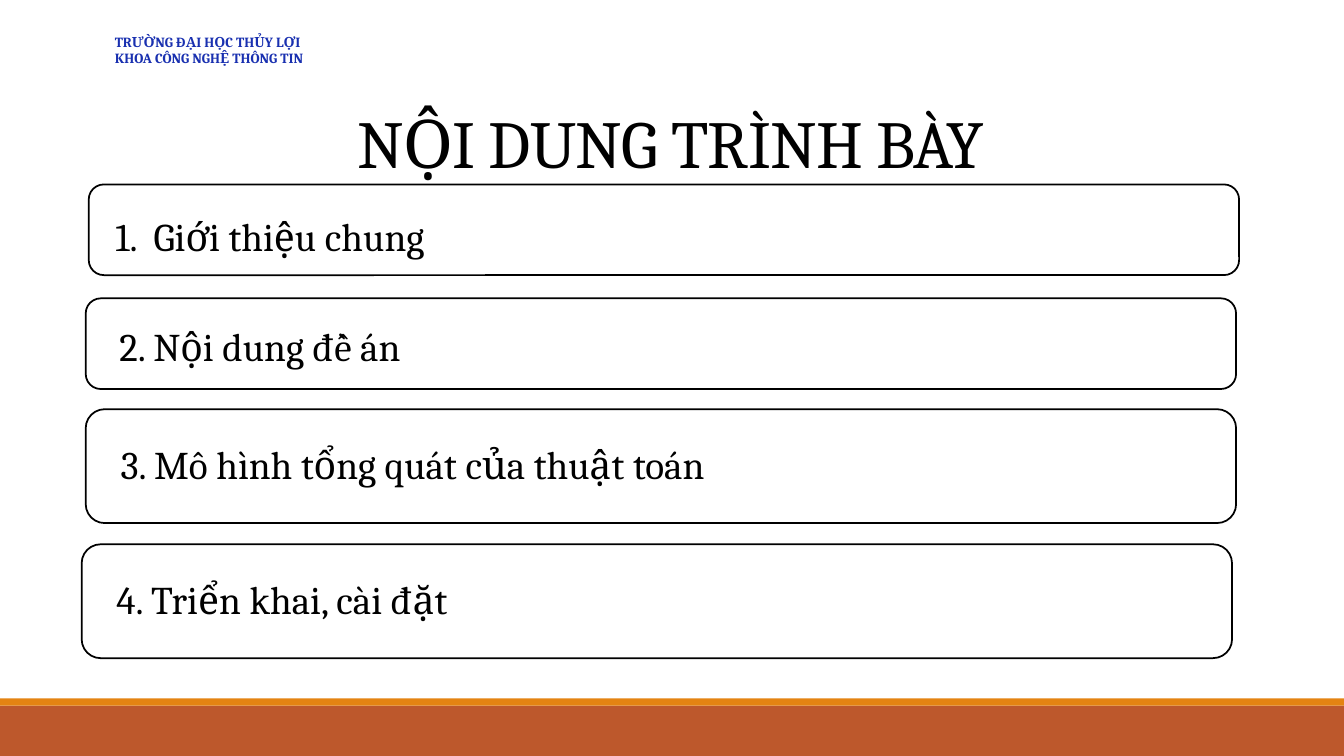
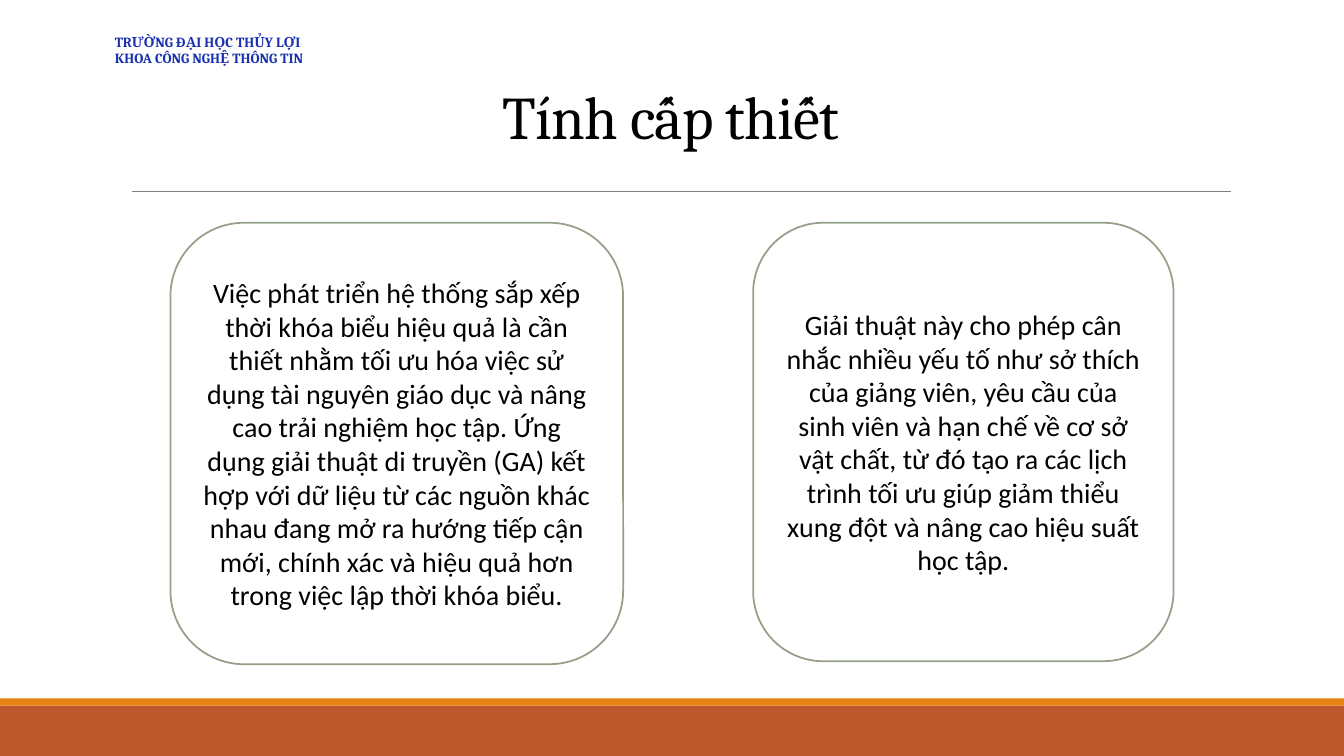
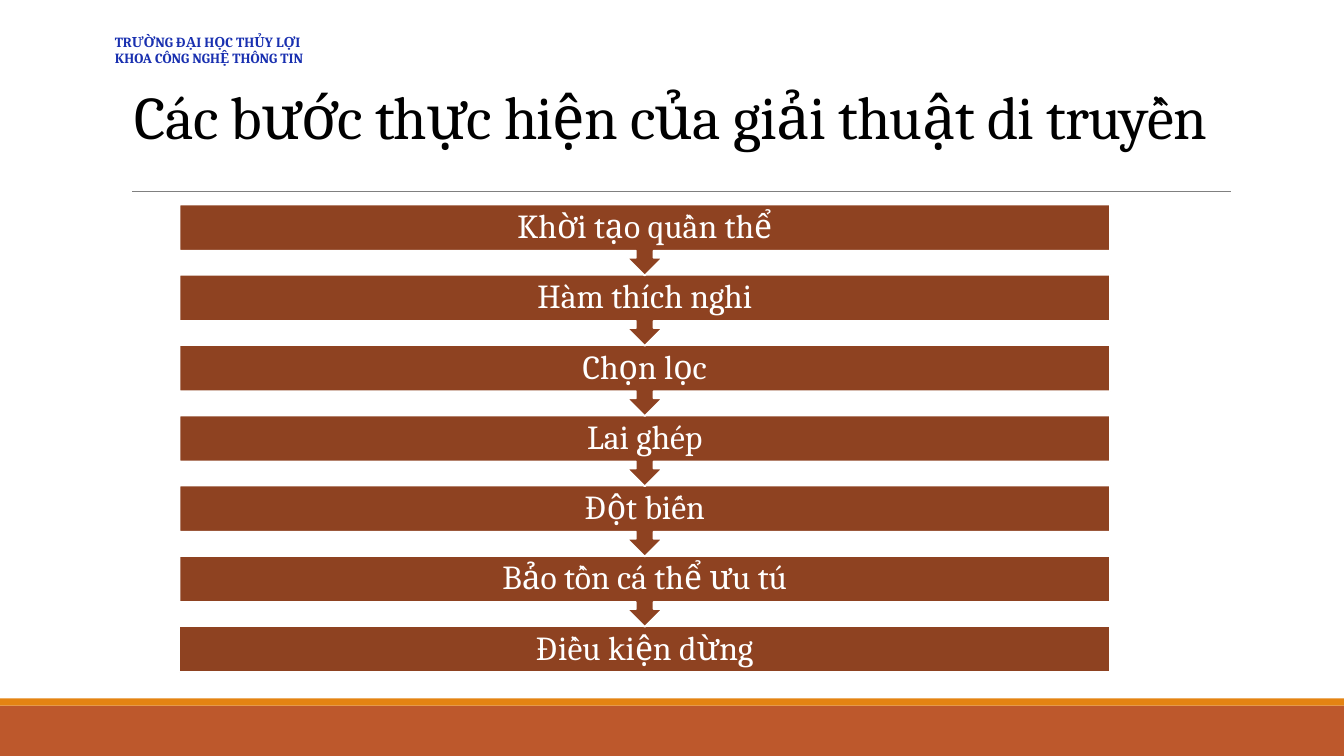
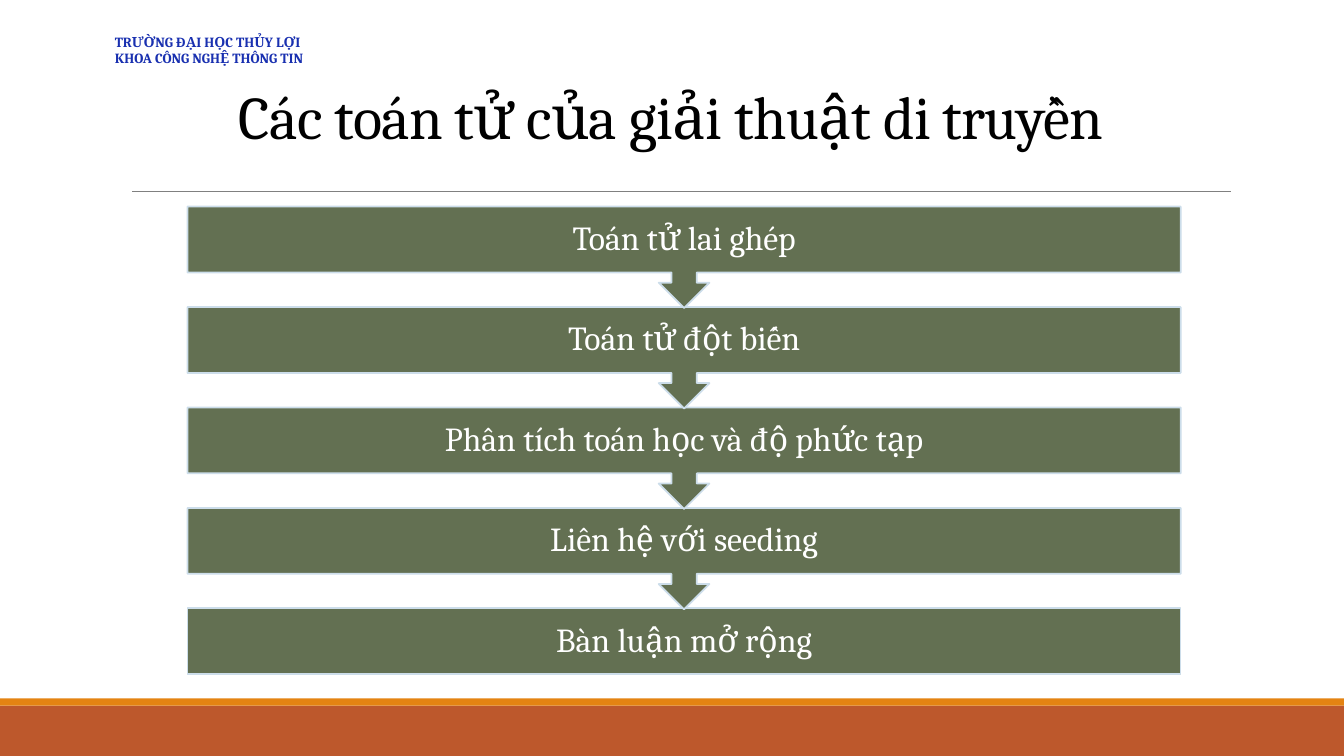
from lxml import etree
from pptx import Presentation
from pptx.dml.color import RGBColor
from pptx.enum.shapes import MSO_CONNECTOR, MSO_SHAPE
from pptx.enum.text import MSO_ANCHOR, MSO_AUTO_SIZE, PP_ALIGN
from pptx.oxml.ns import qn
from pptx.util import Emu, Inches, Pt

RECT = MSO_SHAPE.RECTANGLE
ROUNDED = MSO_SHAPE.ROUNDED_RECTANGLE
DOWN_CALLOUT = MSO_SHAPE.DOWN_ARROW_CALLOUT
STRAIGHT = MSO_CONNECTOR.STRAIGHT
LEFT, CENTER = PP_ALIGN.LEFT, PP_ALIGN.CENTER
MIDDLE, BOTTOM = MSO_ANCHOR.MIDDLE, MSO_ANCHOR.BOTTOM

WIDTH, HEIGHT = 13.33, 7.5
TITLE_ONLY = 5
HEADING_FONT, BODY_FONT = "Cambria", "Calibri"
COLORS = {
    "band": "BD582C", "stripe": "E48312", "rule": "808080",
    "faculty": "1930B0", "ink": "000000", "paper": "FFFFFF",
    "sage": "94A088", "brown": "8E4221", "olive": "637052", "mist": "CCDDEA",
}
FACULTY = ["TRƯỜNG ĐẠI HỌC THỦY LỢI", "KHOA CÔNG NGHỆ THÔNG TIN"]

# left, top, height, text inset, downward nudge of the text, text
AGENDA = [
    (0.88, 1.83, 0.9, 0.22, 0.06, "Giới thiệu chung"),
    (0.85, 2.96, 0.9, 0.29, 0.02, "2. Nội dung đề án"),
    (0.85, 4.06, 1.13, 0.29, -0.02, "3. Mô hình tổng quát của thuật toán"),
    (0.81, 5.4, 1.13, 0.29, -0.02, "4. Triển khai, cài đặt"),
]
REASONS = [
    ((1.69, 2.21, 4.49, 4.38),
     "Việc phát triển hệ thống sắp xếp thời khóa biểu hiệu quả là cần thiết "
     "nhằm tối ưu hóa việc sử dụng tài nguyên giáo dục và nâng cao trải nghiệm "
     "học tập. Ứng dụng giải thuật di truyền (GA) kết hợp với dữ liệu từ các "
     "nguồn khác nhau đang mở ra hướng tiếp cận mới, chính xác và hiệu quả hơn "
     "trong việc lập thời khóa biểu."),
    ((7.47, 2.21, 4.17, 4.35),
     "Giải thuật này cho phép cân nhắc nhiều yếu tố như sở thích của giảng "
     "viên, yêu cầu của sinh viên và hạn chế về cơ sở vật chất, từ đó tạo ra "
     "các lịch trình tối ưu giúp giảm thiểu xung đột và nâng cao hiệu suất "
     "học tập."),
]
GA_STEPS = ["Khời tạo quần thể", "Hàm thích nghi", "Chọn lọc", "Lai ghép",
            "Đột biến", "Bảo tồn cá thể ưu tú", "Điều kiện dừng"]
OPERATORS = ["Toán tử lai ghép", "Toán tử đột biến",
             "Phân tích toán học và độ phức tạp", "Liên hệ với seeding",
             "Bàn luận mở rộng"]


def rgb(name):
    return RGBColor.from_string(COLORS[name])


def place(shape, box):
    shape.left, shape.top, shape.width, shape.height = map(Inches, box)


def write(paragraph, text, size, color="ink", font=HEADING_FONT, align=LEFT, bold=False):
    paragraph.alignment = align
    run = paragraph.add_run()
    run.text = text
    run.font.name, run.font.size, run.font.bold = font, Pt(size), bold
    run.font.color.rgb = rgb(color)
    return run


def add_block(slide, kind, box, fill, line=None):
    block = slide.shapes.add_shape(kind, *map(Inches, box))
    block.shadow.inherit = False
    block.fill.solid()
    block.fill.fore_color.rgb = rgb(fill)
    if line:
        block.line.color.rgb = rgb(line)
        block.line.width = Pt(1.25)
    else:
        block.line.fill.background()
    block.text_frame.word_wrap = True
    block.text_frame.vertical_anchor = MIDDLE
    return block


def add_rule(slide, left, right, y):
    rule = slide.shapes.add_connector(
        STRAIGHT, Inches(left), Inches(y), Inches(right), Inches(y))
    rule.line.color.rgb = rgb("rule")
    rule.line.width = Pt(0.5)
    etree.SubElement(rule._element.spPr, qn("a:effectLst"))


def add_faculty(slide, box):
    frame = slide.shapes.add_textbox(*map(Inches, box)).text_frame
    frame.word_wrap = True
    for i, name in enumerate(FACULTY):
        line = frame.add_paragraph() if i else frame.paragraphs[0]
        write(line, name, 10, "faculty", bold=True)


def add_title(slide, text, height, size):
    title = slide.shapes.title
    place(title, (0.74, 0.8, 11.83, height))
    frame = title.text_frame
    frame.word_wrap = True
    frame.auto_size = MSO_AUTO_SIZE.NONE
    frame.vertical_anchor = BOTTOM
    heading = frame.paragraphs[0]
    heading.line_spacing = 0.85
    run = write(heading, text, size, align=CENTER)
    run._r.get_or_add_rPr().set("spc", "-50")


def new_slide(prs, title, title_height=0.76, title_size=43.2, ruled=True):
    """Add a slide with the shared bands, faculty lines, title and rule."""
    slide = prs.slides.add_slide(prs.slide_layouts[TITLE_ONLY])
    add_block(slide, RECT, (0, 7, WIDTH, 0.5), "band")
    add_block(slide, RECT, (0, 6.93, WIDTH, 0.07), "stripe")
    if ruled:
        add_rule(slide, 1.31, 12.21, 1.9)
    add_title(slide, title, title_height, title_size)
    add_faculty(slide, (1.04, 0.28, 2.55, 0.44))
    return slide


def number_paragraph(paragraph, indent):
    props = paragraph._p.get_or_add_pPr()
    props.set("marL", str(Inches(indent)))
    props.set("indent", str(-Inches(indent)))
    etree.SubElement(props, qn("a:buAutoNum"), type="arabicPeriod")


def add_agenda(slide, rows, width):
    for i, (left, top, height, inset, nudge, topic) in enumerate(rows):
        row = add_block(slide, ROUNDED, (left, top, width, height), "paper", "ink")
        frame = row.text_frame
        frame.margin_left = Inches(inset)
        frame.margin_top = Inches(max(0, 2 * nudge))
        frame.margin_bottom = Inches(max(0, -2 * nudge))
        if i == 0:
            number_paragraph(frame.paragraphs[0], 0.38)
        write(frame.paragraphs[0], topic, 28)


def add_reasons(slide, reasons):
    for box, reason in reasons:
        card = add_block(slide, ROUNDED, box, "paper", "sage")
        write(card.text_frame.paragraphs[0], reason, 20, font=BODY_FONT, align=CENTER)


def add_process(slide, box, steps, fill, line):
    """Stack steps in the box: arrow callouts, ending in a plain bar."""
    left, top, width, height = box
    bar_share, overlap = 0.65, 1.01
    last = len(steps) - 1
    pitch = height / (last + bar_share * overlap)
    for i, step in reversed(list(enumerate(steps))):
        kind, share = (RECT, bar_share) if i == last else (DOWN_CALLOUT, 1)
        bar = add_block(slide, kind,
                        (left, top + i * pitch, width, pitch * overlap * share), fill, line)
        frame = bar.text_frame
        frame.margin_top = frame.margin_bottom = Emu(0)
        frame.paragraphs[0].line_spacing = 0.9
        write(frame.paragraphs[0], step, 24, "paper", align=CENTER)


def main():
    prs = Presentation()
    prs.slide_width, prs.slide_height = Inches(WIDTH), Inches(HEIGHT)

    agenda = new_slide(prs, "NỘI DUNG TRÌNH BÀY", 1.06, 48, ruled=False)
    add_agenda(agenda, AGENDA, 11.41)

    urgency = new_slide(prs, "Tính cấp thiết")
    add_reasons(urgency, REASONS)

    algorithm = new_slide(prs, "Các bước thực hiện của giải thuật di truyền")
    add_process(algorithm, (1.78, 2.03, 9.23, 4.64), GA_STEPS, "brown", "paper")

    operators = new_slide(prs, "Các toán tử của giải thuật di truyền")
    add_process(operators, (1.86, 2.05, 9.85, 4.64), OPERATORS, "olive", "mist")

    prs.save("out.pptx")


if __name__ == "__main__":
    main()
